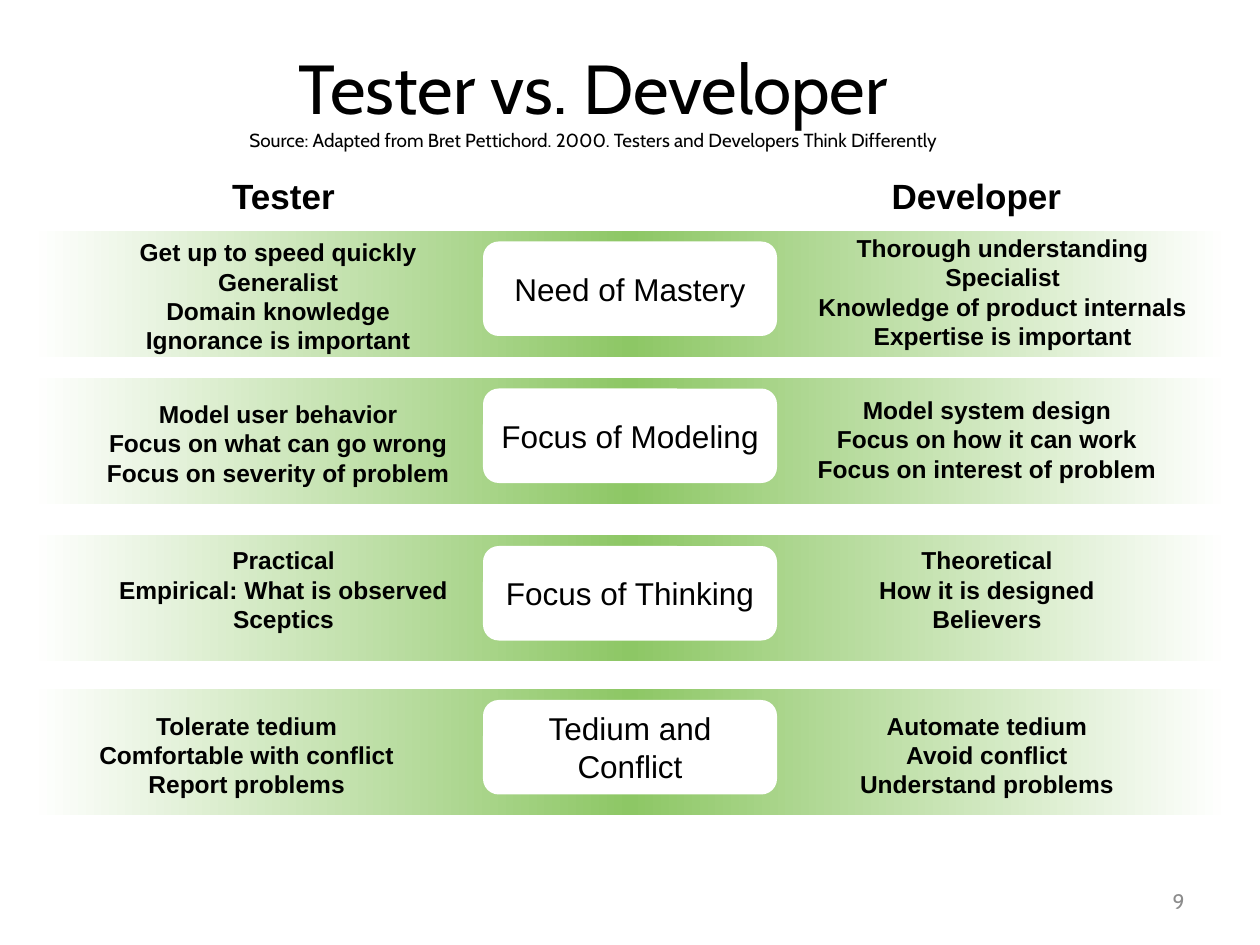
import copy

import pptx
import pptx.dml.color
import pptx.enum.shapes
import pptx.enum.text
import pptx.util

Pt = pptx.util.Pt
RGBColor = pptx.dml.color.RGBColor
SHAPE = pptx.enum.shapes.MSO_SHAPE
ALIGN = pptx.enum.text.PP_ALIGN
ANCHOR = pptx.enum.text.MSO_ANCHOR

WHITE = RGBColor(0xFF, 0xFF, 0xFF)
GREEN = RGBColor(0x8D, 0xC7, 0x65)
BLACK = RGBColor(0, 0, 0)
GRAY = RGBColor(0x8C, 0x8C, 0x8C)

TITLE = "Tester vs. Developer"
SOURCE = "Source: Adapted from Bret Pettichord. 2000. Testers and Developers Think Differently"
HEADERS = [("Tester", 48), ("Developer", 444)]
BAND_LEFT, BAND_WIDTH, BAND_HEIGHT = 18, 684, 72
TOPIC_WIDTH, TOPIC_HEIGHT, TOPIC_INSET = 168, 54, 6

# fmt: off
ROWS = [
    {"topic": "Need of Mastery", "top": 132, "sides": [
        (18, 132, 282, ["Get up to speed quickly", "Generalist",
                        "Domain knowledge", "Ignorance is important"]),
        (450, 129.5, 246, ["Thorough understanding", "Specialist",
                           "Knowledge of product internals", "Expertise is important"])]},
    {"topic": "Focus of Modeling", "top": 216, "sides": [
        (42, 224.5, 234, ["Model user behavior", "Focus on what can go wrong",
                          "Focus on severity of problem"]),
        (456, 222, 216, ["Model system design", "Focus on how it can work",
                         "Focus on interest of problem"])]},
    {"topic": "Focus of Thinking", "top": 306, "sides": [
        (60, 308, 204, ["Practical", "Empirical: What is observed", "Sceptics"]),
        (426, 308, 276, ["Theoretical", "How it is designed", "Believers"])]},
    {"topic": "Tedium and Conflict", "top": 394, "sides": [
        (30, 402.5, 222, ["Tolerate tedium", "Comfortable with conflict", "Report problems"]),
        (456, 402.5, 216, ["Automate tedium", "Avoid conflict", "Understand problems"])]},
]
# fmt: on


def write(sp, text, size, font="Arial", bold=False, color=BLACK,
          align=ALIGN.CENTER, anchor=ANCHOR.TOP):
    tf = sp.text_frame
    tf.word_wrap = True
    tf.vertical_anchor = anchor
    p = tf.paragraphs[0]
    p.text = text
    p.alignment = align
    p.font.name, p.font.size, p.font.bold = font, Pt(size), bold
    p.font.color.rgb = color
    return tf


def add_text(s, left, top, width, height, text, size, **style):
    sp = s.shapes.add_textbox(Pt(left), Pt(top), Pt(width), Pt(height))
    return write(sp, text, size, **style)


def add_plain(s, kind, left, top, width, height):
    sp = s.shapes.add_shape(kind, Pt(left), Pt(top), Pt(width), Pt(height))
    sp.shadow.inherit = False
    sp.line.fill.background()
    return sp


def add_band(s, top):
    sp = add_plain(s, SHAPE.RECTANGLE, BAND_LEFT, top, BAND_WIDTH, BAND_HEIGHT)
    sp.fill.gradient()
    sp.fill.gradient_angle = 0
    first = sp._element.spPr.xpath(".//a:gs")[0]
    first.addnext(copy.deepcopy(first))
    colors = [(0, WHITE), (0.5, GREEN), (1, WHITE)]
    for stop, (position, color) in zip(sp.fill.gradient_stops, colors):
        stop.position = position
        stop.color.rgb = color


def add_topic(s, top, text):
    left = BAND_LEFT + (BAND_WIDTH - TOPIC_WIDTH) / 2
    sp = add_plain(s, SHAPE.ROUNDED_RECTANGLE, left, top + TOPIC_INSET,
                   TOPIC_WIDTH, TOPIC_HEIGHT)
    sp.fill.solid()
    sp.fill.fore_color.rgb = WHITE
    write(sp, text, 18, anchor=ANCHOR.MIDDLE)


def main():
    prs = pptx.Presentation()
    prs.slide_width, prs.slide_height = Pt(720), Pt(540)
    s = prs.slides.add_slide(prs.slide_layouts[6])

    for row in ROWS:
        add_band(s, row["top"])

    tf = add_text(s, 48, 34.5, 582, 43, TITLE, 39.6, font="Cabin", anchor=ANCHOR.MIDDLE)
    p = tf.paragraphs[0]
    p.add_line_break()
    r = p.add_run()
    r.text = SOURCE
    r.font.size = Pt(10.8)

    for text, left in HEADERS:
        add_text(s, left, 96, 228, 31, text, 20, bold=True)

    for row in ROWS:
        add_topic(s, row["top"], row["topic"])
        for left, top, width, lines in row["sides"]:
            height = 7.5 + 17 * len(lines)
            tf = add_text(s, left, top, width, height, "\n".join(lines), 14, bold=True)
            tf.margin_left = tf.margin_right = 0

    add_text(s, 516, 500.5, 168, 29, "9", 12, font="Cabin", color=GRAY,
             align=ALIGN.RIGHT, anchor=ANCHOR.MIDDLE)
    prs.save("out.pptx")


if __name__ == "__main__":
    main()
